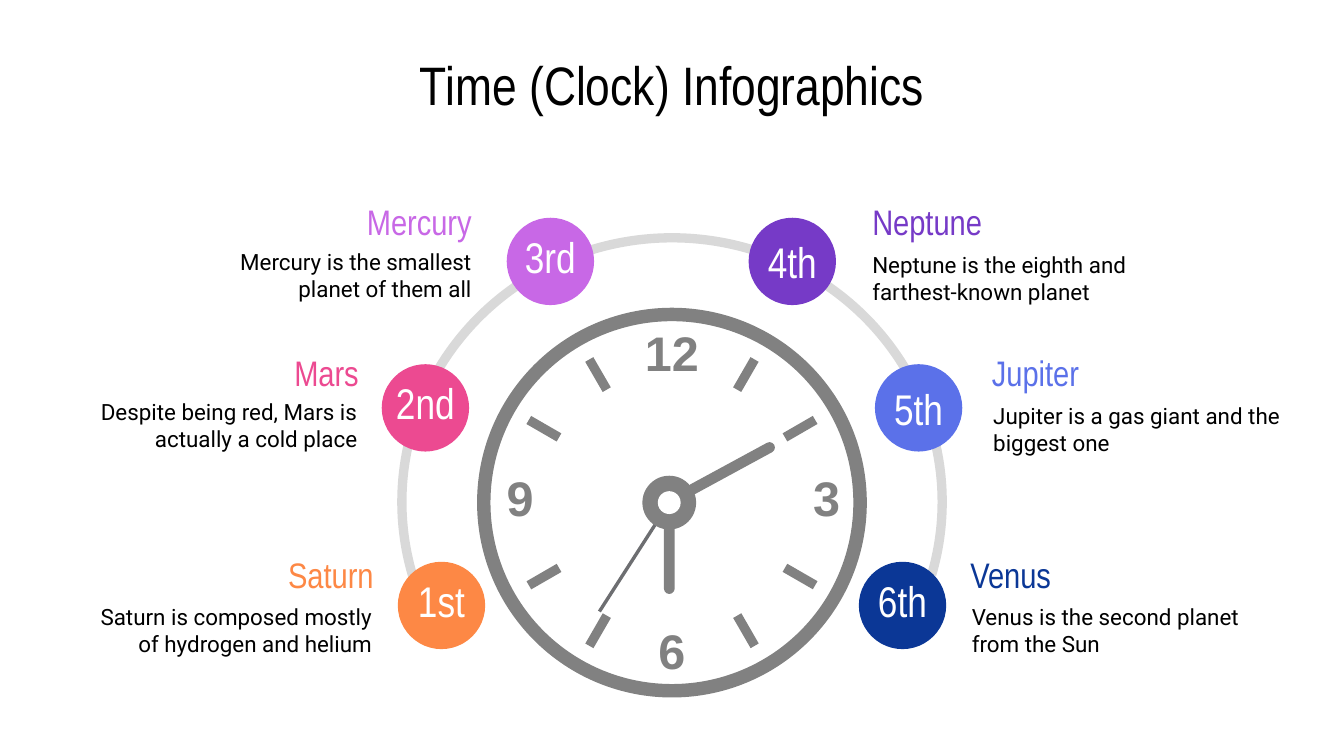
from math import cos, radians, sin

from lxml.etree import SubElement
from pptx import Presentation
from pptx.dml.color import RGBColor
from pptx.enum.shapes import MSO_CONNECTOR, MSO_SHAPE
from pptx.enum.text import MSO_ANCHOR, MSO_AUTO_SIZE, PP_ALIGN
from pptx.oxml.ns import qn
from pptx.util import Inches, Pt

COLORS = {
    "black": "000000", "white": "FFFFFF", "clock": "818181",
    "second_hand": "6D6E71", "arc": "D9D9D9",
    "Saturn": "FD8845", "Mars": "EC4A91", "Mercury": "C868E6",
    "Neptune": "763AC7", "Jupiter": "5B71E9", "Venus": "0B3796",
}
FORMATS = {
    "title": {"name": "Arial Narrow", "size": Pt(29)},
    "heading": {"name": "Arial Narrow", "size": Pt(19)},
    "body": {"name": "Roboto", "size": Pt(12)},
    "badge": {"name": "Arial Narrow", "size": Pt(23)},
    "numeral": {"name": "Arial", "size": Pt(26), "bold": True},
}
LEFT, CENTER, RIGHT = PP_ALIGN.LEFT, PP_ALIGN.CENTER, PP_ALIGN.RIGHT
TOP, MIDDLE = MSO_ANCHOR.TOP, MSO_ANCHOR.MIDDLE
CX, CY = 5, 3.74  # clock centre
HUB_X = 4.98
BADGE = 0.65

# name, ordinal, description, align, heading edge, body edge, heading top,
# badge left, badge top, body anchor, badge anchor
PLANETS = [
    ("Saturn", "1st", "Saturn is composed mostly of hydrogen and helium",
     RIGHT, 2.82, 2.81, 4.12, 2.96, 4.18, TOP, TOP),
    ("Mars", "2nd", "Despite being red, Mars is actually a cold place",
     RIGHT, 2.71, 2.7, 2.62, 2.84, 2.71, MIDDLE, TOP),
    ("Mercury", "3rd", "Mercury is the smallest planet of them all",
     RIGHT, 3.55, 3.55, 1.5, 3.77, 1.62, MIDDLE, TOP),
    ("Neptune", "4th", "Neptune is the eighth and farthest-known planet",
     LEFT, 6.45, 6.45, 1.5, 5.57, 1.62, TOP, MIDDLE),
    ("Jupiter", "5th", "Jupiter is a gas giant and the biggest one",
     LEFT, 7.34, 7.35, 2.62, 6.51, 2.71, TOP, MIDDLE),
    ("Venus", "6th", "Venus is the second planet from the Sun",
     LEFT, 7.18, 7.19, 4.12, 6.39, 4.18, TOP, TOP),
]


def rgb(key):
    return RGBColor.from_string(COLORS[key])


def write(sp, text, style, color, align, anchor, inset=(0, 0), wrap=True):
    tf = sp.text_frame
    tf.word_wrap, tf.auto_size, tf.vertical_anchor = wrap, MSO_AUTO_SIZE.NONE, anchor
    tf.margin_left = tf.margin_right = Inches(inset[0])
    tf.margin_top = tf.margin_bottom = Inches(inset[1])
    p = tf.paragraphs[0]
    p.alignment = align
    r = p.add_run()
    r.text = text
    for name, value in FORMATS[style].items():
        setattr(r.font, name, value)
    r.font.color.rgb = rgb(color)


def add_text(s, x, y, w, h, *args, **kwargs):
    sp = s.shapes.add_textbox(Inches(x), Inches(y), Inches(w), Inches(h))
    write(sp, *args, **kwargs)


def add_solid(s, kind, x, y, w, h, color, rotation=0):
    sp = s.shapes.add_shape(kind, Inches(x), Inches(y), Inches(w), Inches(h))
    sp.shadow.inherit = False
    sp.fill.solid()
    sp.fill.fore_color.rgb = rgb(color)
    sp.line.fill.background()
    sp.rotation = rotation
    return sp


def add_centered(s, kind, cx, cy, w, h, color="clock", rotation=0):
    return add_solid(s, kind, cx - w / 2, cy - h / 2, w, h, color, rotation)


def add_arc(s):
    sp = s.shapes.add_shape(MSO_SHAPE.ARC, Inches(2.99), Inches(1.77),
                            Inches(4.02), Inches(3.93))
    sp.adjustments[0], sp.adjustments[1] = 94.401, 9.397
    sp.shadow.inherit = False
    sp.fill.background()
    sp.line.color.rgb = rgb("arc")
    sp.line.width = Pt(5)


def add_title(s):
    sp = s.shapes.title
    sp.left, sp.top, sp.width, sp.height = map(Inches, (0.5, 0.47, 9, 0.31))
    write(sp, "Time (Clock) Infographics", "title", "black", CENTER, MIDDLE, (0.1, 0.1))


def add_planet(s, name, ordinal, description, align, edge, body_edge, top,
               badge_x, badge_y, body_anchor, badge_anchor):
    for text, style, color, x, y, w, h, anchor in (
            (name, "heading", name, edge, top, 1.25, 0.3, MIDDLE),
            (description, "body", "black", body_edge, top + 0.35, 2.28, 0.39, body_anchor)):
        left = x - w if align == RIGHT else x
        add_text(s, left, y, w, h, text, style, color, align, anchor, (0.04, 0.02))
    sp = add_solid(s, MSO_SHAPE.OVAL, badge_x, badge_y, BADGE, BADGE, name)
    write(sp, ordinal, "badge", "white", CENTER, badge_anchor, wrap=False)


def add_hands(s):
    # Second hand
    line = s.shapes.add_connector(MSO_CONNECTOR.STRAIGHT, Inches(HUB_X), Inches(CY),
                                  Inches(4.46), Inches(4.55))
    line.line.color.rgb = rgb("second_hand")
    line.line.width = Pt(1.8)
    SubElement(line._element.spPr, qn("a:effectLst"))
    # Hub, hour hand and minute hand
    add_centered(s, MSO_SHAPE.OVAL, HUB_X, CY, 0.4, 0.4)
    for cx, cy, length, angle in ((HUB_X, 4.155, 0.53, 0), (5.44, 3.485, 0.73, 61.5)):
        hand = add_centered(s, MSO_SHAPE.ROUNDED_RECTANGLE, cx, cy, 0.08, length,
                            rotation=angle)
        hand.adjustments[0] = 0.5
    add_centered(s, MSO_SHAPE.OVAL, HUB_X, CY, 0.17, 0.17, "white")


def add_dial(s):
    rim = add_centered(s, MSO_SHAPE.DONUT, CX, CY, 2.9, 2.9)
    rim.adjustments[0] = 0.1 / 2.9
    # Ticks, except at the numbered hours
    for hour in range(1, 13):
        if hour % 3:
            angle = radians(hour * 30)
            add_centered(s, MSO_SHAPE.RECTANGLE, CX + 1.1 * sin(angle),
                         CY - 1.1 * cos(angle), 0.07, 0.26, rotation=hour * 30)
    # Numerals
    for text, x, y in (("12", 5, 2.62), ("3", 6.15, 3.7), ("6", 5, 4.84), ("9", 3.87, 3.7)):
        add_text(s, x - 0.3, y - 0.2, 0.6, 0.4, text, "numeral", "clock", CENTER, MIDDLE)


def main():
    prs = Presentation()
    # Widescreen, 16:9
    prs.slide_width = Inches(10)
    prs.slide_height = prs.slide_width * 9 // 16
    s = prs.slides.add_slide(prs.slide_layouts[5])
    add_arc(s)
    add_title(s)
    for planet in PLANETS:
        add_planet(s, *planet)
    add_dial(s)
    add_hands(s)
    prs.save("out.pptx")


if __name__ == "__main__":
    main()
